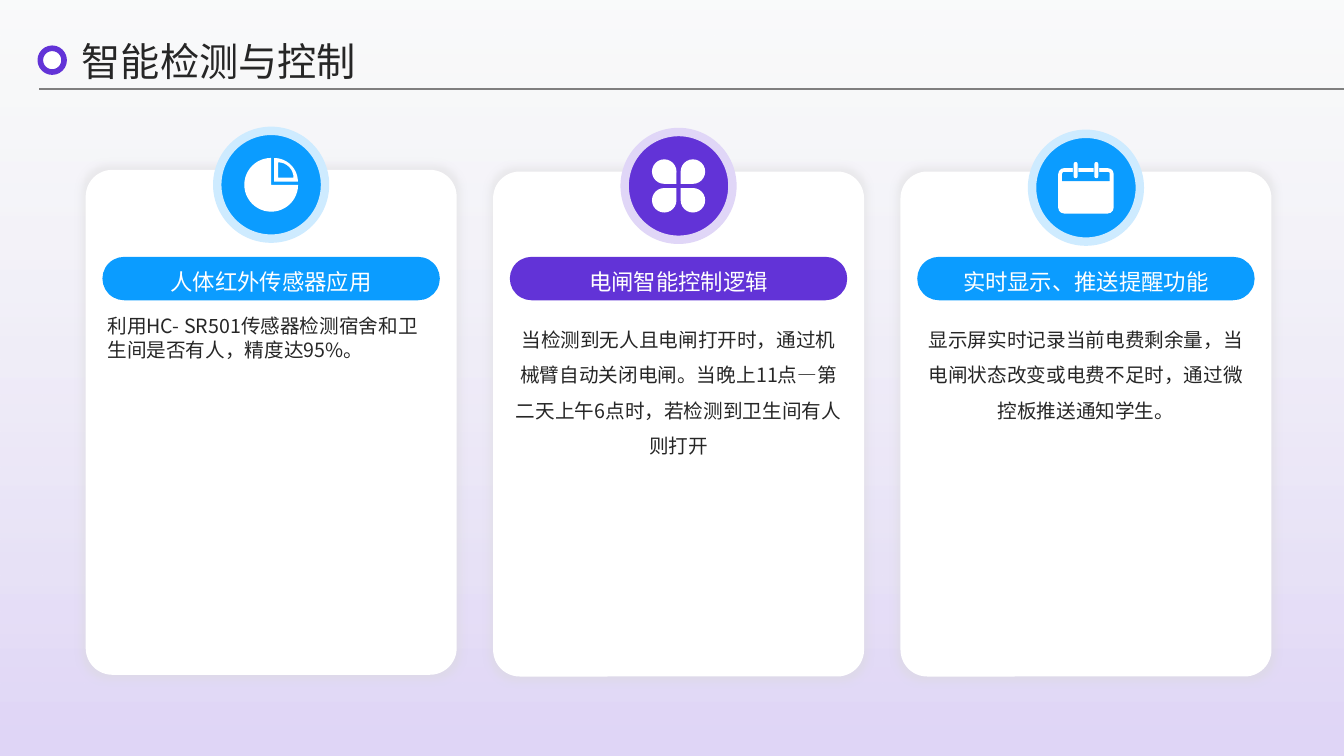
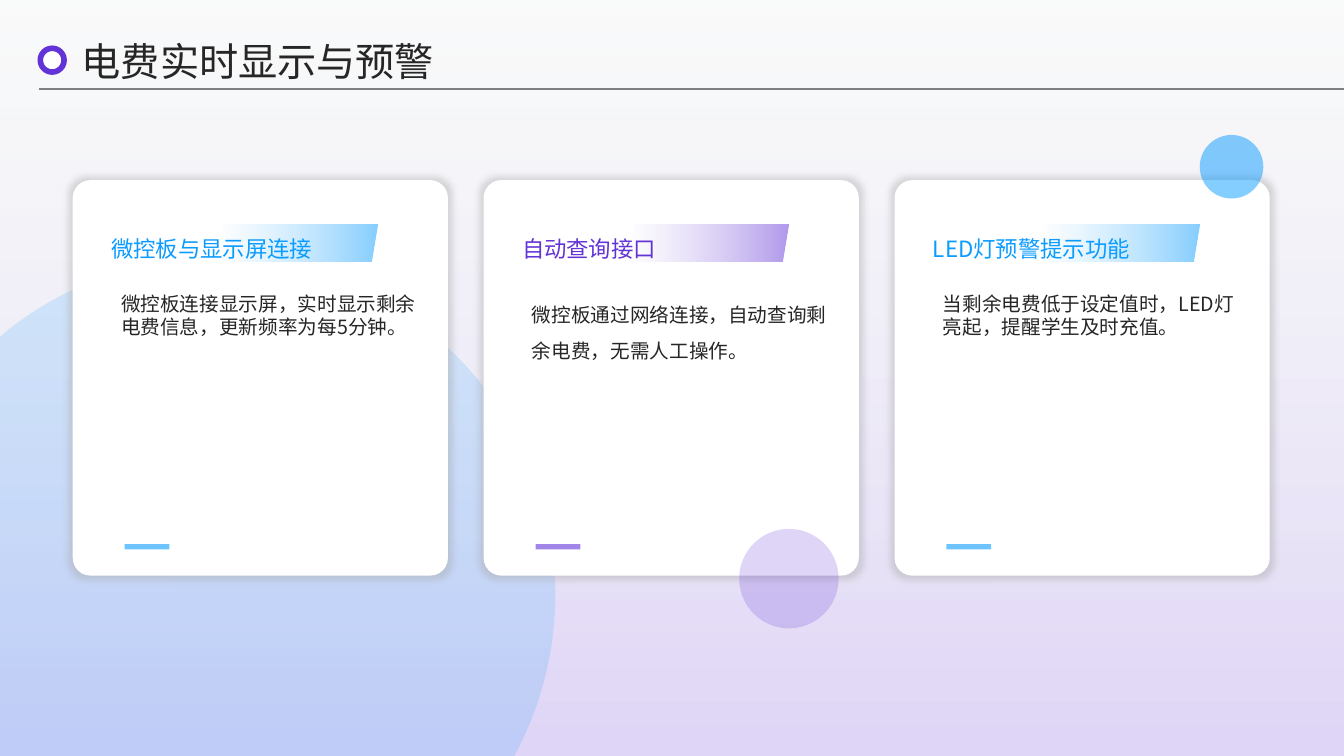
from dataclasses import dataclass
from math import acos, asin, cos, pi, sin
from typing import Callable, Optional

from lxml.etree import SubElement
from pptx import Presentation
from pptx.dml.color import RGBColor
from pptx.enum.shapes import MSO_CONNECTOR, MSO_SHAPE
from pptx.enum.text import MSO_ANCHOR, PP_ALIGN
from pptx.oxml import parse_xml
from pptx.oxml.ns import nsdecls, qn
from pptx.util import Pt

WIDTH, HEIGHT = 960, 540
FONT = "Noto Sans CJK SC"
WHITE, INK, RULE = "FFFFFF", "262626", "7F7F7F"
BLUE, PURPLE = "0B9CFF", "6233D7"
PALE = {BLUE: "CEEBFF", PURPLE: "E0D6F7"}
DASH = {BLUE: "6DC4FF", PURPLE: "A185E7"}

Point = tuple[float, float]


@dataclass(frozen=True)
class Feature:
    title: str
    body: str
    color: str
    top: float
    badge_top: float
    icon: Callable
    align: PP_ALIGN = PP_ALIGN.CENTER
    spacing: float = 1.5


@dataclass(frozen=True)
class Notice:
    title: str
    body: str
    color: str
    spacing: float


def rgb(color: str) -> RGBColor:
    return RGBColor.from_string(color)


def fill_solid(shape, color: str, alpha: Optional[int] = None) -> None:
    shape.fill.solid()
    shape.fill.fore_color.rgb = rgb(color)
    if alpha is not None:
        tint = shape._element.spPr.find(qn("a:solidFill"))[0]
        SubElement(tint, qn("a:alpha"), val=str(alpha * 1000))


def fill_gradient(shape, start: tuple[str, int], end: tuple[str, int], angle: int) -> None:
    shape.fill.background()
    stops = "".join(
        f'<a:gs pos="{position}"><a:srgbClr val="{color}"><a:alpha val="{alpha * 1000}"/></a:srgbClr></a:gs>'
        for position, (color, alpha) in ((0, start), (100000, end))
    )
    gradient = parse_xml(
        f'<a:gradFill {nsdecls("a")} rotWithShape="1"><a:gsLst>{stops}</a:gsLst>'
        f'<a:lin ang="{angle * 60000}" scaled="0"/></a:gradFill>'
    )
    properties = shape._element.spPr
    properties.replace(properties.find(qn("a:noFill")), gradient)


def add_form(slide, kind, left: float, top: float, width: float, height: float,
             color: str = WHITE, alpha: Optional[int] = None, adjust: Optional[float] = None,
             line: Optional[tuple[str, float]] = None):
    shape = slide.shapes.add_shape(kind, Pt(left), Pt(top), Pt(width), Pt(height))
    shape.shadow.inherit = False
    fill_solid(shape, color, alpha)
    if adjust is not None:
        shape.adjustments[0] = adjust
    if line:
        shape.line.color.rgb = rgb(line[0])
        shape.line.width = Pt(line[1])
    else:
        shape.line.fill.background()
    return shape


def add_outline(slide, contours: list[list[Point]], color: str, alpha: Optional[int] = None) -> None:
    scaled = [[(Pt(x), Pt(y)) for x, y in contour] for contour in contours]
    builder = slide.shapes.build_freeform(*scaled[0][0])
    for index, contour in enumerate(scaled):
        if index:
            builder.move_to(*contour[0])
        builder.add_line_segments(contour[1:], close=True)
    shape = builder.convert_to_shape()
    shape.shadow.inherit = False
    fill_solid(shape, color, alpha)
    shape.line.fill.background()


def arc(x: float, y: float, radius: float, start: float, end: float, steps: int = 60) -> list[Point]:
    angles = [start + (end - start) * step / steps for step in range(steps + 1)]
    return [(x + radius * cos(angle), y + radius * sin(angle)) for angle in angles]


def write(shape, text: str, size: float, color: str, spacing: float,
          align: PP_ALIGN = PP_ALIGN.LEFT, anchor: MSO_ANCHOR = MSO_ANCHOR.TOP,
          inset: bool = False) -> None:
    frame = shape.text_frame
    frame.word_wrap = True
    frame.vertical_anchor = anchor
    if not inset:
        frame.margin_left = frame.margin_right = frame.margin_top = frame.margin_bottom = 0
    paragraph = frame.paragraphs[0]
    paragraph.alignment = align
    paragraph.line_spacing = spacing
    run = paragraph.add_run()
    run.text = text
    run.font.size = Pt(size)
    run.font.name = FONT
    run.font.color.rgb = rgb(color)
    SubElement(run._r.get_or_add_rPr(), qn("a:ea"), typeface=FONT)


def add_text(slide, left: float, top: float, width: float, height: float, *args, **style) -> None:
    box = slide.shapes.add_textbox(Pt(left), Pt(top), Pt(width), Pt(height))
    write(box, *args, **style)


def add_card(slide, left: float, top: float, width: float, height: float,
             adjust: float, shade: str) -> None:
    card = add_form(slide, MSO_SHAPE.ROUNDED_RECTANGLE, left, top, width, height, adjust=adjust)
    effects = card._element.spPr.find(qn("a:effectLst"))
    effects.append(parse_xml(
        f'<a:outerShdw {nsdecls("a")} blurRad="{Pt(5)}" dist="0" dir="0" sx="102000" sy="102000" '
        f'algn="ctr" rotWithShape="0">'
        f'<a:srgbClr val="{shade}"><a:alpha val="40000"/></a:srgbClr></a:outerShdw>'
    ))


def start_slide(deck):
    slide = deck.slides.add_slide(deck.slide_layouts[6])
    backdrop = add_form(slide, MSO_SHAPE.RECTANGLE, 0, 0, WIDTH, HEIGHT)
    fill_gradient(backdrop, (PALE[PURPLE], 100), ("F1F3F4", 38), 270)
    return slide


def add_heading(slide, title: str) -> None:
    add_form(slide, MSO_SHAPE.OVAL, 28.8, 34.5, 17, 17, line=(PURPLE, 4))
    add_text(slide, 58.5, 23, 834, 34, title, 28, INK, 1.2, anchor=MSO_ANCHOR.MIDDLE)
    rule = slide.shapes.add_connector(MSO_CONNECTOR.STRAIGHT, Pt(28), Pt(63.4), Pt(WIDTH), Pt(63.4))
    rule.line.color.rgb = rgb(RULE)
    rule.line.width = Pt(1.25)
    SubElement(rule._element.spPr, qn("a:effectLst"))


def draw_pie(slide, x: float, y: float, color: str) -> None:
    radius = 19.2
    add_form(slide, MSO_SHAPE.PIE, x - radius, y - radius, 2 * radius, 2 * radius)
    wedge = [
        [(x + gap, y - gap)] + arc(x + gap, y - gap, size, -pi / 2, 0, 16)
        for gap, size in ((2.2, 16.9), (5, 11))
    ]
    add_outline(slide, wedge, WHITE)


def draw_petals(slide, x: float, y: float, color: str) -> None:
    size, gap = 17.5, 3
    for column, row, turn in ((0, 0, 90), (1, 0, 180), (1, 1, 270), (0, 1, 0)):
        left = x - size - gap / 2 + column * (size + gap)
        top = y - size - gap / 2 + row * (size + gap)
        add_form(slide, MSO_SHAPE.TEAR, left, top, size, size).rotation = turn


def draw_calendar(slide, x: float, y: float, color: str) -> None:
    rounded = MSO_SHAPE.ROUNDED_RECTANGLE
    add_form(slide, rounded, x - 19.8, y - 14, 39.6, 32.4, adjust=0.13)
    add_form(slide, MSO_SHAPE.ROUND_2_SAME_RECTANGLE, x - 17, y - 11.2, 34, 6.5, color, adjust=0.2)
    for center in (x - 7.4, x + 7.4):
        add_form(slide, MSO_SHAPE.RECTANGLE, center - 2, y - 14, 4, 5, color)
        add_form(slide, rounded, center - 1.4, y - 18.4, 2.8, 11.6, adjust=0.5)


def add_feature(slide, left: float, feature: Feature) -> None:
    card_width, pill_width, body_width, badge = 265, 241, 234, 77
    middle = left + card_width / 2
    add_card(slide, left, feature.top, card_width, 360.7, 0.072, "D9D9D9")
    add_text(slide, middle - body_width / 2, feature.top + 103.3, body_width, 242.6,
             feature.body, 14, INK, feature.spacing, align=feature.align)
    pill = add_form(slide, MSO_SHAPE.ROUNDED_RECTANGLE, middle - pill_width / 2, 183.5,
                    pill_width, 31, feature.color, adjust=0.5)
    write(pill, feature.title, 16, WHITE, 1.2, PP_ALIGN.CENTER, MSO_ANCHOR.MIDDLE, True)
    add_form(slide, MSO_SHAPE.OVAL, middle - badge / 2, feature.badge_top, badge, badge,
             feature.color, line=(PALE[feature.color], 6))
    feature.icon(slide, middle, feature.badge_top + badge / 2, feature.color)


def add_notice(slide, left: float, notice: Notice) -> None:
    add_card(slide, left, 128.7, 268, 282.5, 0.047, "A6A6A6")
    banner = add_form(slide, MSO_SHAPE.PARALLELOGRAM, left + 102.5, 160.3, 115.3, 26.6, adjust=0.17)
    fill_gradient(banner, (notice.color, 50), (WHITE, 30), 180)
    add_text(slide, left + 27.4, 142.3, 226, 44.6, notice.title, 16, notice.color, 1.3,
             anchor=MSO_ANCHOR.BOTTOM)
    add_text(slide, left + 27.4, 204.8, 226, 165.6, notice.body, 14, INK, notice.spacing, inset=True)
    add_form(slide, MSO_SHAPE.RECTANGLE, left + 37, 388.6, 32, 3.8, DASH[notice.color])


def build_detection(deck) -> None:
    slide = start_slide(deck)
    features = (
        Feature("人体红外传感器应用", "利用HC- SR501传感器检测宿舍和卫生间是否有人，精度达95%。",
                BLUE, 121.3, 93.5, draw_pie, PP_ALIGN.LEFT, 1),
        Feature("电闸智能控制逻辑",
                "当检测到无人且电闸打开时，通过机械臂自动关闭电闸。当晚上11点—第二天上午6点时，若检测到卫生间有人则打开",
                PURPLE, 122.5, 94.3, draw_petals),
        Feature("实时显示、推送提醒功能",
                "显示屏实时记录当前电费剩余量，当电闸状态改变或电费不足时，通过微控板推送通知学生。",
                BLUE, 122.5, 95.6, draw_calendar),
    )
    for index, feature in enumerate(features):
        add_feature(slide, 61.2 + index * 291, feature)
    add_heading(slide, "智能检测与控制")


def build_warning(deck) -> None:
    slide = start_slide(deck)
    x, y, radius = 155.5, 424.8, 241.2
    disc = arc(x, y, radius, pi + acos(x / radius), 2 * pi + asin((HEIGHT - y) / radius))
    add_outline(slide, [disc + [(0, HEIGHT)]], BLUE, 15)
    notices = (
        Notice("微控板与显示屏连接", "微控板连接显示屏，实时显示剩余电费信息，更新频率为每5分钟。", BLUE, 1),
        Notice("自动查询接口", "微控板通过网络连接，自动查询剩余电费，无需人工操作。", PURPLE, 1.5),
        Notice("LED灯预警提示功能", "当剩余电费低于设定值时，LED灯亮起，提醒学生及时充值。", BLUE, 1),
    )
    for index, notice in enumerate(notices):
        add_notice(slide, 52 + index * 293.5, notice)
    add_form(slide, MSO_SHAPE.OVAL, 857, 96.4, 45.4, 45.4, BLUE, 50)
    add_form(slide, MSO_SHAPE.OVAL, 528, 377.8, 71, 71, PURPLE, 20)
    add_heading(slide, "电费实时显示与预警")


def main() -> None:
    deck = Presentation()
    deck.slide_width, deck.slide_height = Pt(WIDTH), Pt(HEIGHT)
    build_detection(deck)
    build_warning(deck)
    deck.save("out.pptx")


if __name__ == "__main__":
    main()
